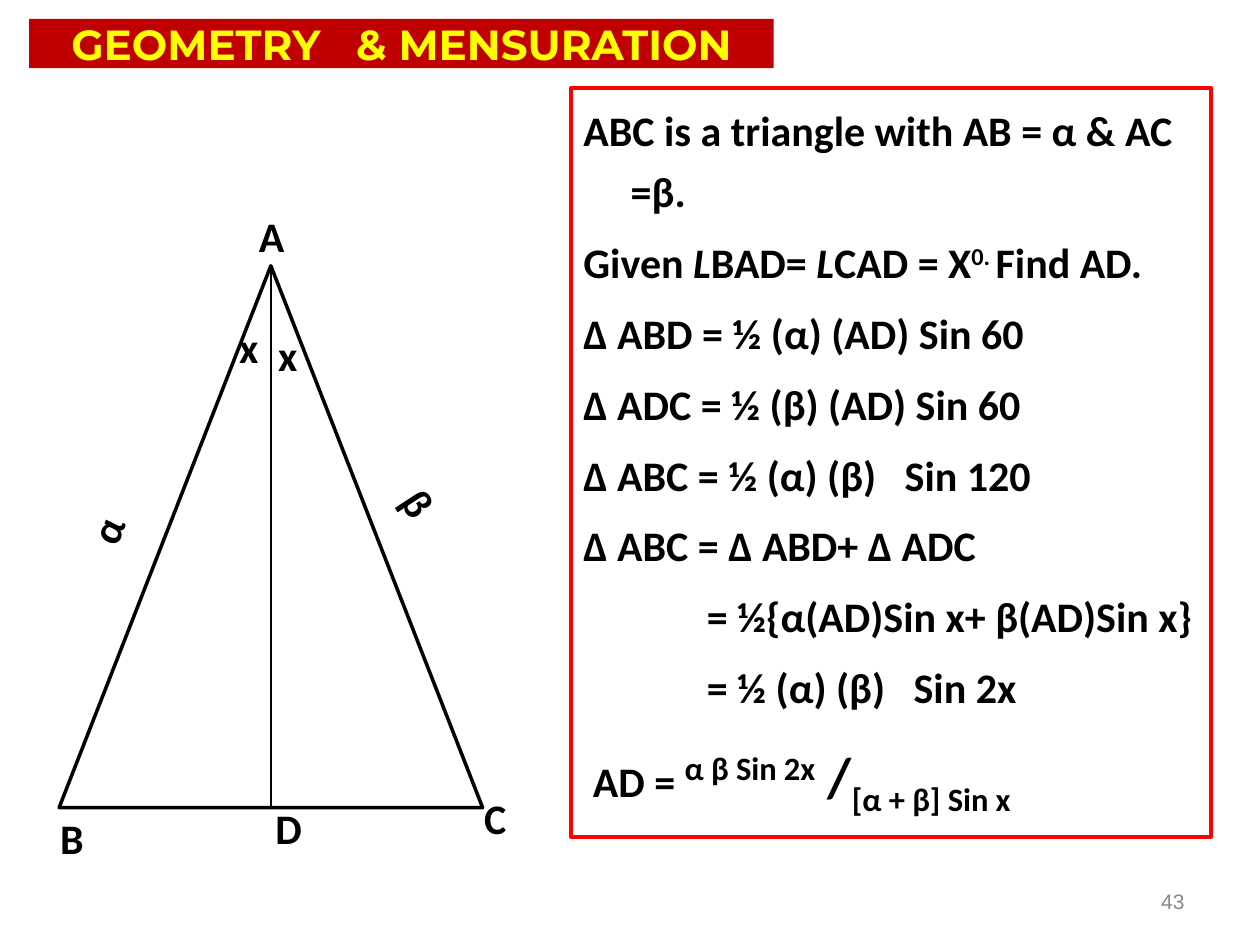
from dataclasses import dataclass

from lxml.etree import SubElement
from pptx import Presentation
from pptx.dml.color import RGBColor as Rgb
from pptx.enum.shapes import MSO_CONNECTOR as Connector, MSO_SHAPE as Shape
from pptx.enum.text import MSO_ANCHOR as Anchor, MSO_AUTO_SIZE as AutoSize, PP_ALIGN as Align
from pptx.oxml.ns import qn
from pptx.util import Pt


@dataclass(frozen=True)
class Theme:
    ink: Rgb = Rgb(0, 0, 0)
    frame: Rgb = Rgb(255, 0, 0)
    banner: Rgb = Rgb(192, 0, 0)
    banner_text: Rgb = Rgb(255, 255, 0)
    muted: Rgb = Rgb(0x89, 0x89, 0x89)
    body_font: str = "Calibri"
    title_font: str = "Montserrat"
    number_font: str = "Arial"
    text_size: int = 24
    fraction_size: int = 32
    number_size: int = 12


THEME = Theme()
HANGING = (27, -27)
CONTINUED = (70.5, 0)
FRACTION_START = (32.4, -27)
RAISED = {"size": THEME.fraction_size, "baseline": 30}
LOWERED = {"size": THEME.fraction_size, "baseline": -25}

SOLUTION = [
    (HANGING, 6, [("ABC is a triangle with AB = α & AC =β.", {})]),
    (HANGING, 6, [("Given ", {}), ("L", {"italic": True}), ("BAD= ", {}),
                  ("L", {"italic": True}), ("CAD = X", {}),
                  ("0. ", {"baseline": 30}), ("Find AD.", {})]),
    (HANGING, 6, [("∆ ABD = ½ (α) (AD) Sin 60", {})]),
    (HANGING, 6, [("∆ ADC = ½ (β) (AD) Sin 60", {})]),
    (HANGING, 6, [("∆ ABC = ½ (α) (β)   Sin 120", {})]),
    (HANGING, 6, [("∆ ABC = ∆ ABD+ ∆ ADC", {})]),
    (CONTINUED, 6, [("= ½{α(AD)Sin x+ β(AD)Sin x}", {})]),
    (CONTINUED, 6, [("= ½ (α) (β)   Sin 2x", {})]),
    (FRACTION_START, 8, [("AD = ", {}), ("α β Sin 2x", RAISED),
                         (" /", {"size": THEME.fraction_size}),
                         ("[α + β] Sin x", LOWERED)]),
]

VERTEX_LABELS = [
    ("A", 135.4, 123.8, 39.6, 22.3),
    ("B", 23.8, 474.5, 34.6, 8.6),
    ("C", 265.7, 463, 34.6, 8.6),
    ("D", 147.6, 468.7, 34.6, 8.6),
]

ANGLE_AND_SIDE_LABELS = [
    ("β", 226.8, 268.6, 25.2, 57),
    ("α", 37.4, 271.4, 56.9, -69),
    ("x", 151.9, 185, 30.2, 0),
    ("x", 129.6, 180, 30.2, 0),
]


def add_span(para, text, *, size=THEME.text_size, font=THEME.body_font,
             color=THEME.ink, bold=True, italic=False, baseline=0):
    span = para.add_run()
    span.text = text
    span.font.size = Pt(size)
    span.font.name = font
    span.font.color.rgb = color
    span.font.bold = bold
    span.font.italic = italic
    if baseline:
        span._r.get_or_add_rPr().set("baseline", str(baseline * 1000))


def place(box, left, top, width, height):
    box.left, box.top, box.width, box.height = map(Pt, (left, top, width, height))


def prepare_frame(box, anchor):
    frame = box.text_frame
    frame.word_wrap = True
    frame.auto_size = AutoSize.NONE
    frame.vertical_anchor = anchor
    return frame


def add_label(page, text, left, top, width, height, *, align=Align.CENTER,
              anchor=Anchor.MIDDLE, rotation=0, **style):
    box = page.shapes.add_textbox(Pt(left), Pt(top), Pt(width), Pt(height))
    box.rotation = rotation
    para = prepare_frame(box, anchor).paragraphs[0]
    para.alignment = align
    add_span(para, text, **style)


def fill_title(box, text):
    place(box, 16.6, 10.8, 425.5, 28.1)
    box.fill.solid()
    box.fill.fore_color.rgb = THEME.banner
    para = prepare_frame(box, Anchor.MIDDLE).paragraphs[0]
    para.alignment = Align.CENTER
    add_span(para, text, font=THEME.title_font, color=THEME.banner_text)


def indent_plain(para, margin, first_line):
    properties = para._p.get_or_add_pPr()
    properties.set("marL", str(Pt(margin)))
    properties.set("indent", str(Pt(first_line)))
    SubElement(properties, qn("a:buNone"))


def fill_solution(box):
    place(box, 326.2, 50.4, 365.8, 427.7)
    box.line.color.rgb = THEME.frame
    box.line.width = Pt(2.25)
    frame = prepare_frame(box, Anchor.TOP)
    for index, (indent, space, spans) in enumerate(SOLUTION):
        para = frame.add_paragraph() if index else frame.paragraphs[0]
        para.line_spacing = 1.2
        para.space_before = Pt(space)
        indent_plain(para, *indent)
        for text, style in spans:
            add_span(para, text, **style)


def add_triangle(page, left, top, width, height):
    triangle = page.shapes.add_shape(
        Shape.ISOSCELES_TRIANGLE, Pt(left), Pt(top), Pt(width), Pt(height))
    triangle.shadow.inherit = False
    triangle.fill.background()
    triangle.line.color.rgb = THEME.ink
    triangle.line.width = Pt(2)
    middle = left + width / 2
    bisector = page.shapes.add_connector(
        Connector.STRAIGHT, Pt(middle), Pt(top), Pt(middle), Pt(top + height))
    bisector.line.color.rgb = THEME.ink
    bisector.line.width = Pt(1.5)
    SubElement(bisector._element.spPr, qn("a:effectLst"))


def main():
    deck = Presentation()
    deck.slide_width, deck.slide_height = Pt(720), Pt(540)
    page = deck.slides.add_slide(deck.slide_layouts[1])
    fill_title(page.shapes.title, "GEOMETRY   & MENSURATION")
    fill_solution(page.placeholders[1])
    add_triangle(page, 33.8, 151.9, 242, 309.6)
    for label in VERTEX_LABELS:
        add_label(page, *label)
    for text, left, top, width, rotation in ANGLE_AND_SIDE_LABELS:
        add_label(page, text, left, top, width, 36, align=Align.LEFT,
                  anchor=Anchor.TOP, rotation=rotation)
    add_label(page, "43", 516.2, 500.4, 167.8, 28.8, align=Align.RIGHT, bold=False,
              size=THEME.number_size, font=THEME.number_font, color=THEME.muted)
    deck.save("out.pptx")


if __name__ == "__main__":
    main()
